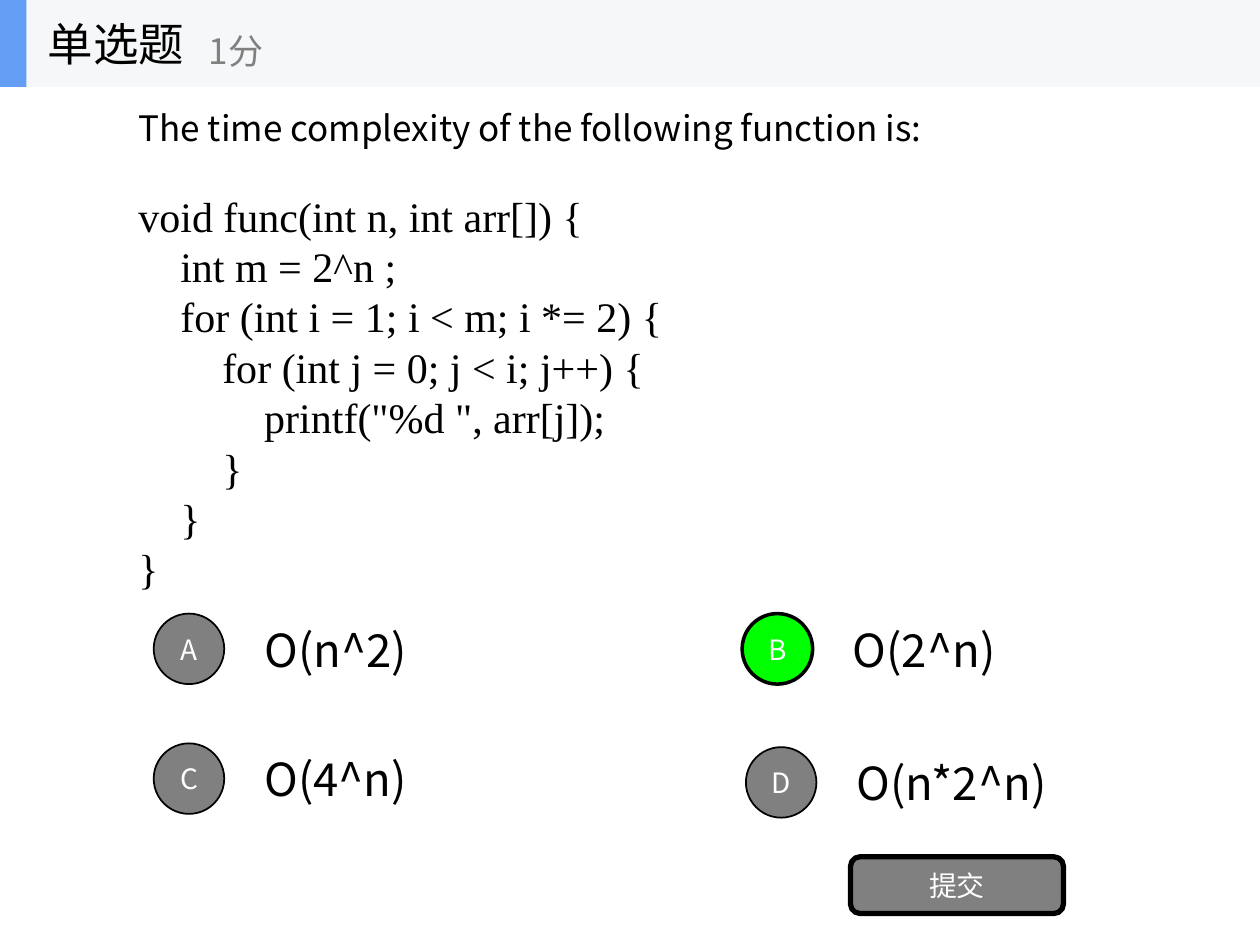
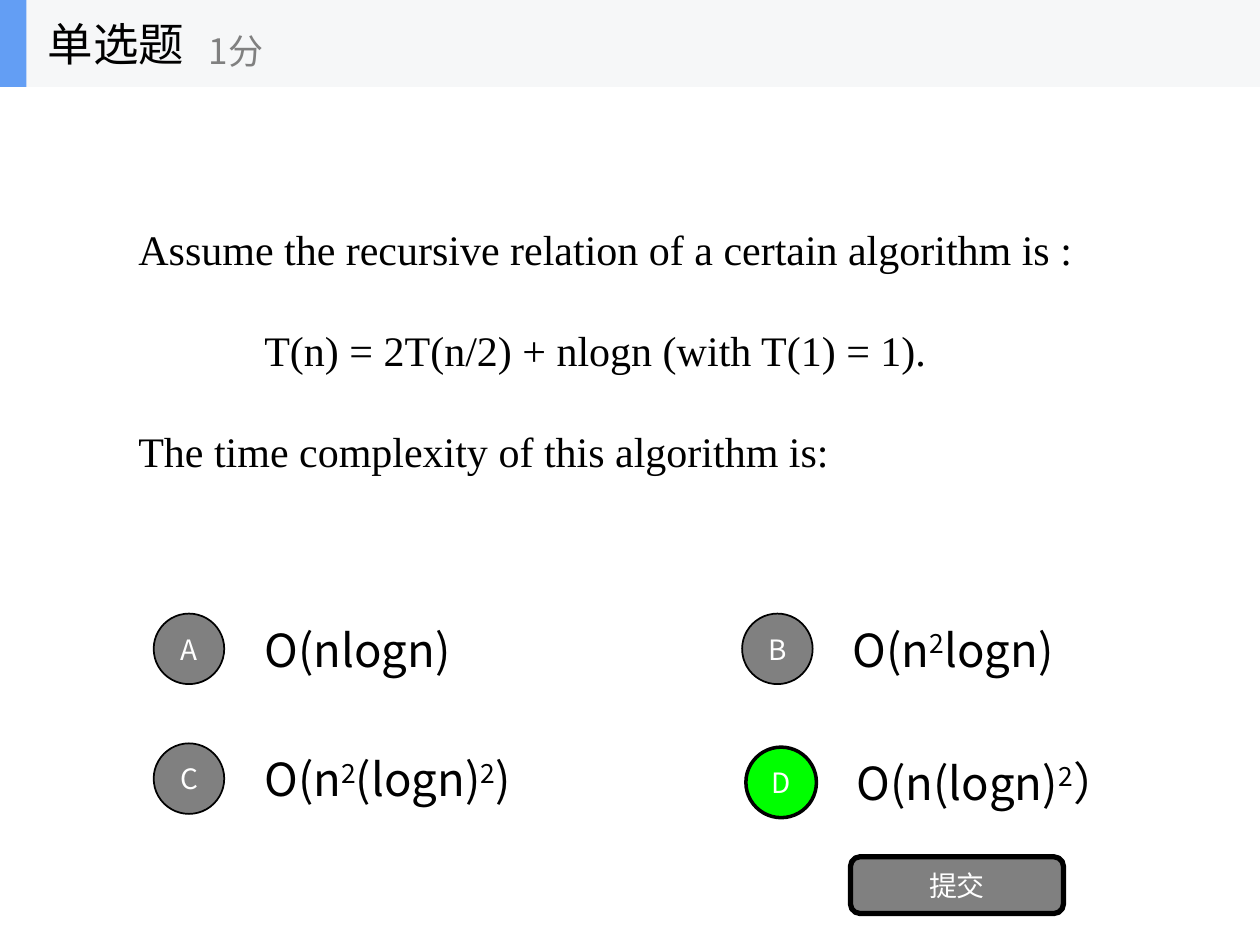
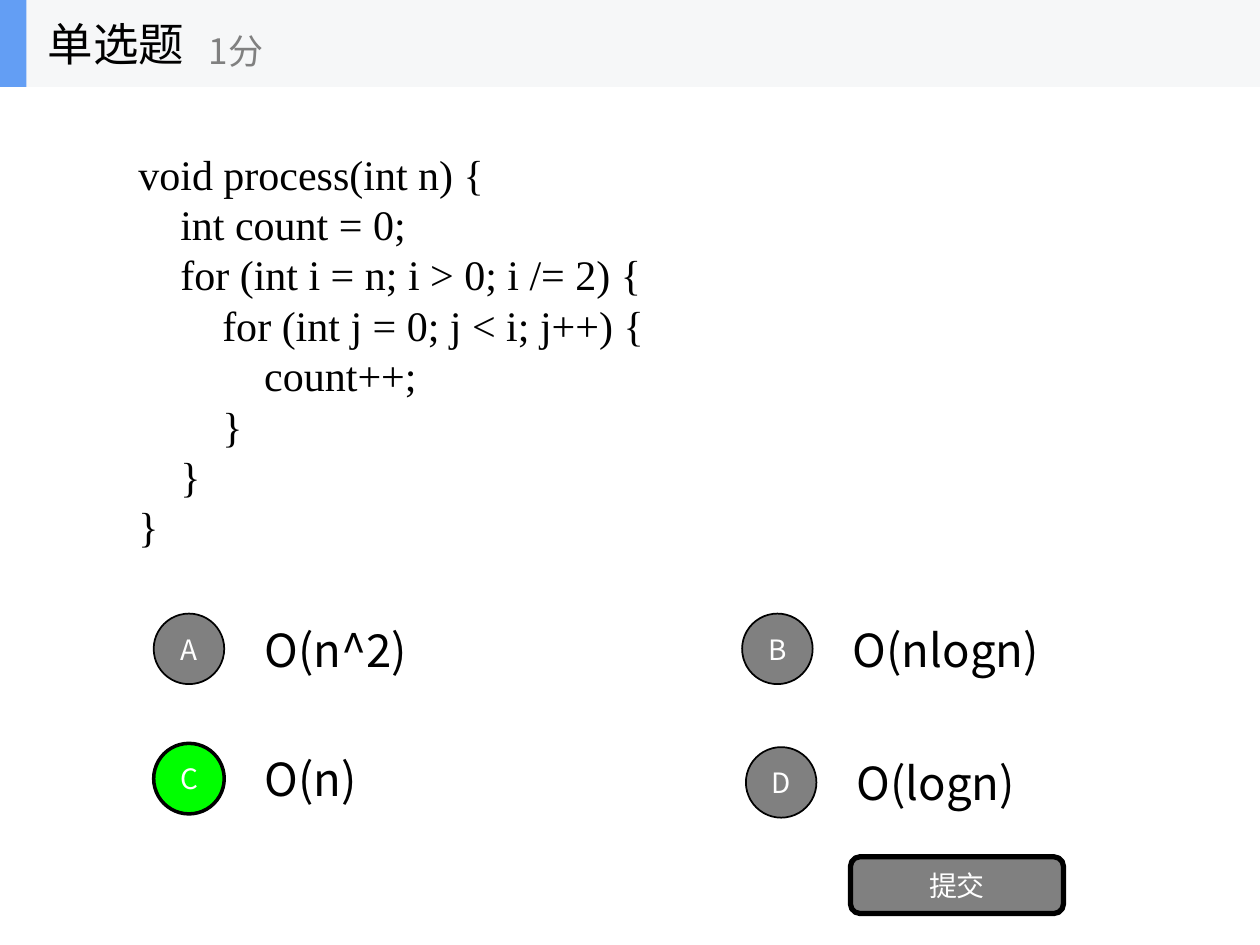
from dataclasses import dataclass
from itertools import groupby
from typing import Any

import pptx
import pptx.dml.color
import pptx.enum.shapes
import pptx.enum.text
import pptx.oxml.ns
import pptx.util
from lxml import etree

Inches = pptx.util.Inches
Pt = pptx.util.Pt
RGBColor = pptx.dml.color.RGBColor
Shapes = pptx.enum.shapes.MSO_SHAPE
Align = pptx.enum.text.PP_ALIGN
Anchor = pptx.enum.text.MSO_ANCHOR
AutoSize = pptx.enum.text.MSO_AUTO_SIZE
qn = pptx.oxml.ns.qn

BLACK = RGBColor(0x00, 0x00, 0x00)
WHITE = RGBColor(0xFF, 0xFF, 0xFF)
GRAY = RGBColor(0x80, 0x80, 0x80)
CORRECT_GREEN = RGBColor(0x00, 0xFF, 0x00)
BAND_GRAY = RGBColor(0xF6, 0xF7, 0xF8)
ACCENT_BLUE = RGBColor(0x63, 0x9E, 0xF4)

SANS = "Noto Sans CJK SC"
SERIF = "Times New Roman"

TITLE_FORMAT = {"name": SANS, "size": Pt(26), "color": BLACK}
SCORE_FORMAT = {"name": SANS, "size": Pt(20), "color": GRAY}
LEAD_FORMAT = {"name": SANS, "size": Pt(20), "color": BLACK}
BODY_FORMAT = {"name": SERIF, "size": Pt(24), "color": BLACK}
OPTION_FORMAT = {"name": SANS, "size": Pt(26), "color": BLACK}
BUTTON_FORMAT = {"name": SANS, "size": Pt(16), "color": WHITE}

BAND_HEIGHT = 0.69
CIRCLE_SIZE = 0.56
CIRCLE_PLACES = {"A": (1.22, 4.87), "B": (5.89, 4.87), "C": (1.22, 5.9), "D": (5.92, 5.93)}
OPTION_OFFSET = (0.78, -0.07)


@dataclass(frozen=True)
class Line:
    text: str
    format: dict[str, Any]
    space_before: float = 0
    indent: float = 0


@dataclass(frozen=True)
class Question:
    lines: list[Line]
    options: list[str]
    answer: str


def code_lines(code: str, space_before: float = 0) -> list[Line]:
    first, *rest = code.strip().split("\n")
    return [Line(first, BODY_FORMAT, space_before)] + [Line(text, BODY_FORMAT) for text in rest]


FUNC_CODE = """
void func(int n, int arr[]) {
    int m = 2^n ;
    for (int i = 1; i < m; i *= 2) {
        for (int j = 0; j < i; j++) {
            printf("%d ", arr[j]);
        }
    }
}
"""

PROCESS_CODE = """
void process(int n) {
    int count = 0;
    for (int i = n; i > 0; i /= 2) {
        for (int j = 0; j < i; j++) {
            count++;
        }
    }
}
"""

QUESTIONS = [
    Question(
        [Line("The time complexity of the following function is:", LEAD_FORMAT)]
        + code_lines(FUNC_CODE, space_before=24),
        ["O(n^2)", "O(2^n)", "O(4^n)", "O(n*2^n)"],
        "B",
    ),
    Question(
        [
            Line("Assume the recursive relation of a certain algorithm is :", BODY_FORMAT),
            Line("T(n) = 2T(n/2) + nlogn (with T(1) = 1).", BODY_FORMAT, 28.8, indent=1),
            Line("The time complexity of this algorithm is:", BODY_FORMAT, 28.8),
        ],
        ["O(nlogn)", "O(n²logn)", "O(n²(logn)²)", "O(n(logn)²）"],
        "D",
    ),
    Question(
        code_lines(PROCESS_CODE),
        ["O(n^2)", "O(nlogn)", "O(n)", "O(logn)"],
        "C",
    ),
]


def format_run(run, values: dict[str, Any]) -> None:
    for name, value in values.items():
        if name == "color":
            run.font.color.rgb = value
        else:
            setattr(run.font, name, value)
    east_asian = etree.SubElement(run.font._element, qn("a:ea"))
    east_asian.set("typeface", SANS)


def write_line(paragraph, line: Line, alignment=Align.LEFT) -> None:
    """Write one paragraph, with each ² as a superscript 2."""
    paragraph.alignment = alignment
    if line.space_before:
        paragraph.space_before = Pt(line.space_before)
    if line.indent:
        properties = paragraph._p.get_or_add_pPr()
        properties.set("marL", str(Inches(line.indent)))
        properties.set("indent", "0")
    for raised, characters in groupby(line.text, key=lambda character: character == "²"):
        run = paragraph.add_run()
        run.text = "2" if raised else "".join(characters)
        format_run(run, line.format)
        if raised:
            run.font._element.set("baseline", "30000")


def write_lines(shape, lines: list[Line], alignment=Align.LEFT) -> None:
    frame = shape.text_frame
    settings = {"word_wrap": True, "auto_size": AutoSize.NONE, "vertical_anchor": Anchor.MIDDLE}
    for name, value in settings.items():
        setattr(frame, name, value)
    for index, line in enumerate(lines):
        paragraph = frame.add_paragraph() if index else frame.paragraphs[0]
        write_line(paragraph, line, alignment)


def add_text(slide, left: float, top: float, width: float, height: float, lines: list[Line]) -> None:
    box = slide.shapes.add_textbox(Inches(left), Inches(top), Inches(width), Inches(height))
    write_lines(box, lines)


def add_block(slide, kind, left: float, top: float, width: float, height: float,
              fill: RGBColor, line_width: float = 0, label: str = "") -> None:
    shape = slide.shapes.add_shape(kind, Inches(left), Inches(top), Inches(width), Inches(height))
    shape.shadow.inherit = False
    shape.fill.solid()
    shape.fill.fore_color.rgb = fill
    if line_width:
        shape.line.color.rgb = BLACK
        shape.line.width = Pt(line_width)
    else:
        shape.line.fill.background()
    if label:
        for side in ("left", "top", "right", "bottom"):
            setattr(shape.text_frame, f"margin_{side}", 0)
        write_lines(shape, [Line(label, BUTTON_FORMAT)], Align.CENTER)


def add_header(slide) -> None:
    add_block(slide, Shapes.RECTANGLE, 0, 0, 10, BAND_HEIGHT, BAND_GRAY)
    add_block(slide, Shapes.RECTANGLE, 0, 0, 0.21, BAND_HEIGHT, ACCENT_BLUE)
    title = slide.shapes.title
    place = {"left": 0.28, "top": 0, "width": 2.08, "height": BAND_HEIGHT}
    for name, value in place.items():
        setattr(title, name, Inches(value))
    write_lines(title, [Line("单选题", TITLE_FORMAT)])
    # The title has to stand in front of the band.
    title.element.getparent().append(title.element)
    add_text(slide, 1.56, 0.12, 2.5, 0.56, [Line("1分", SCORE_FORMAT)])


def add_option(slide, letter: str, text: str, correct: bool) -> None:
    left, top = CIRCLE_PLACES[letter]
    across, down = OPTION_OFFSET
    add_text(slide, left + across, top + down, 2.9, 0.7, [Line(text, OPTION_FORMAT)])
    add_block(slide, Shapes.OVAL, left, top, CIRCLE_SIZE, CIRCLE_SIZE,
              CORRECT_GREEN if correct else GRAY, 2 if correct else 1, letter)


def add_question(presentation, question: Question) -> None:
    slide = presentation.slides.add_slide(presentation.slide_layouts.get_by_name("Title Only"))
    add_header(slide)
    add_text(slide, 1, BAND_HEIGHT, 8, 4.17, question.lines)
    for letter, text in zip(CIRCLE_PLACES, question.options):
        add_option(slide, letter, text, letter == question.answer)
    add_block(slide, Shapes.ROUNDED_RECTANGLE, 6.75, 6.8, 1.69, 0.45, GRAY, 3, "提交")


def main() -> None:
    presentation = pptx.Presentation()
    presentation.slide_width = Inches(10)
    presentation.slide_height = Inches(7.5)
    for question in QUESTIONS:
        add_question(presentation, question)
    presentation.save("out.pptx")


if __name__ == "__main__":
    main()
